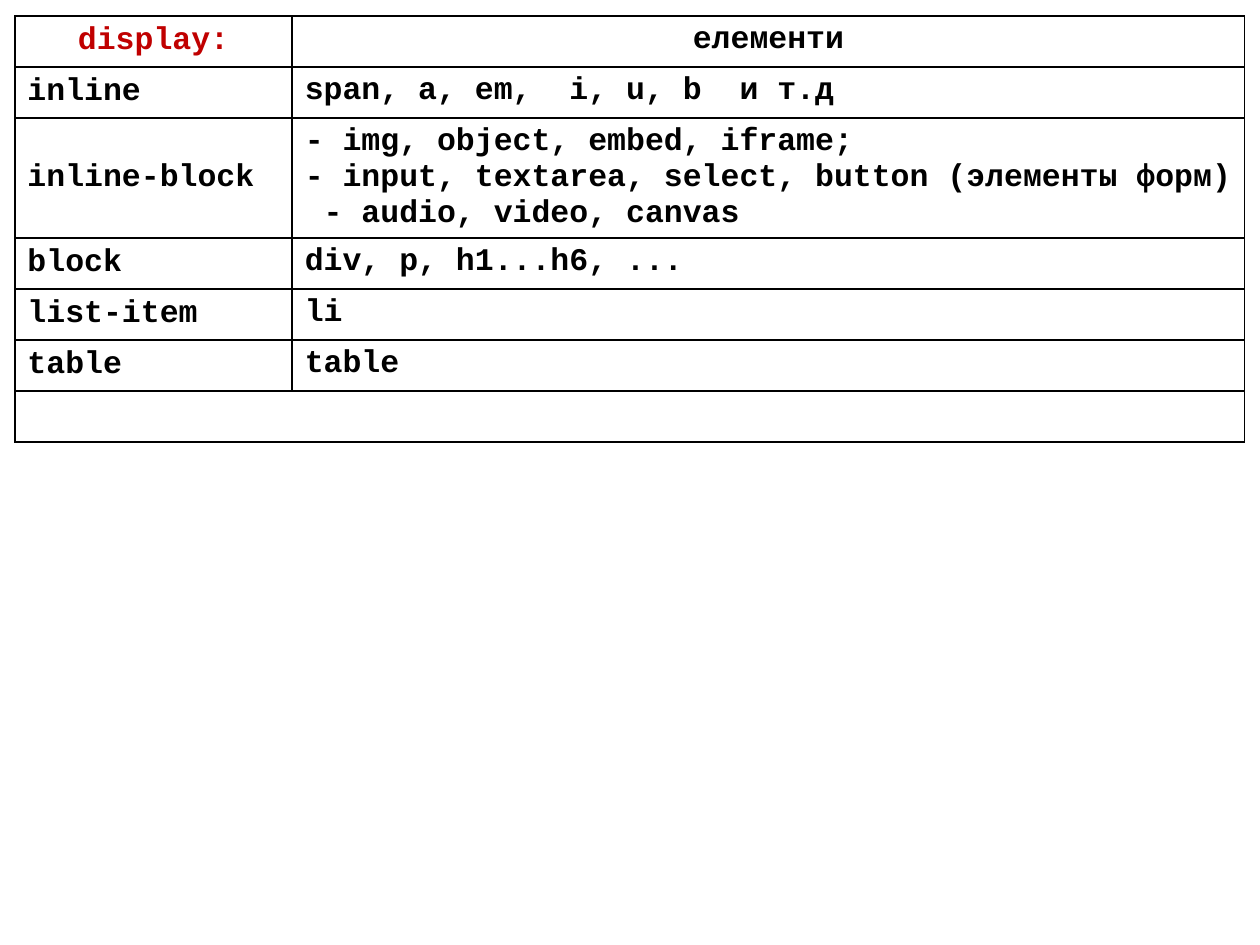
from lxml.etree import SubElement
from pptx import Presentation
from pptx.dml.color import RGBColor
from pptx.enum.text import MSO_ANCHOR, PP_ALIGN
from pptx.oxml.ns import qn
from pptx.util import Cm, Pt

BLACK = RGBColor(0x00, 0x00, 0x00)
RED = RGBColor(0xC0, 0x00, 0x00)
ROWS = [
    ("display:", "елементи"),
    ("inline", "span, a, em,  i, u, b  и т.д"),
    ("inline-block", "- img, object, embed, iframe;\n"
     "- input, textarea, select, button (элементы форм)\n"
     " - audio, video, canvas"),
    ("block", "div, p, h1...h6, ..."),
    ("list-item", "li"),
    ("table", "table"),
    ("", ""),
]
WIDTHS = [Cm(5.59), Cm(19.2)]
LOW, HIGH = Cm(1.03), Cm(2.41)


class Page:
    """Hold the text style and the current slide."""

    def __init__(self, slide, font="Courier New", size=Pt(18), line=Pt(1)):
        self.slide, self.font, self.size, self.line = slide, font, size, line

    def border(self, cell):
        props = cell._tc.get_or_add_tcPr()
        for side in ("a:lnL", "a:lnR", "a:lnT", "a:lnB"):
            edge = SubElement(props, qn(side), w=str(self.line))
            fill = SubElement(edge, qn("a:solidFill"))
            SubElement(fill, qn("a:srgbClr"), val=str(BLACK))

    def cell(self, cell, text, color, align, anchor):
        self.border(cell)
        cell.fill.background()
        cell.vertical_anchor = anchor
        cell.text_frame.text = text
        for para in cell.text_frame.paragraphs:
            para.alignment = align
            for run in para.runs:
                font = run.font
                font.name, font.size, font.bold = self.font, self.size, True
                font.color.rgb = color

    def table(self, left, top, rows, widths):
        highs = [HIGH if "\n" in row[1] else LOW for row in rows]
        frame = self.slide.shapes.add_table(
            len(rows), len(widths), left, top, sum(widths), sum(highs))
        table = frame.table
        table.first_row = table.horz_banding = False
        for col, width in zip(table.columns, widths):
            col.width = width
        for r, (row, high) in enumerate(zip(rows, highs)):
            table.rows[r].height = high
            align = PP_ALIGN.LEFT if r else PP_ALIGN.CENTER
            for c, text in enumerate(row):
                color = BLACK if r or c else RED
                anchor = MSO_ANCHOR.TOP if c else MSO_ANCHOR.MIDDLE
                self.cell(table.cell(r, c), text, color, align, anchor)
        return table


def main():
    deck = Presentation()
    deck.slide_width, deck.slide_height = Cm(25.4), Cm(19.05)
    page = Page(deck.slides.add_slide(deck.slide_layouts[6]))
    table = page.table(Cm(0.3), Cm(0.32), ROWS, WIDTHS)
    last = len(ROWS) - 1
    table.cell(last, 0).merge(table.cell(last, 1))
    deck.save("out.pptx")


if __name__ == "__main__":
    main()
